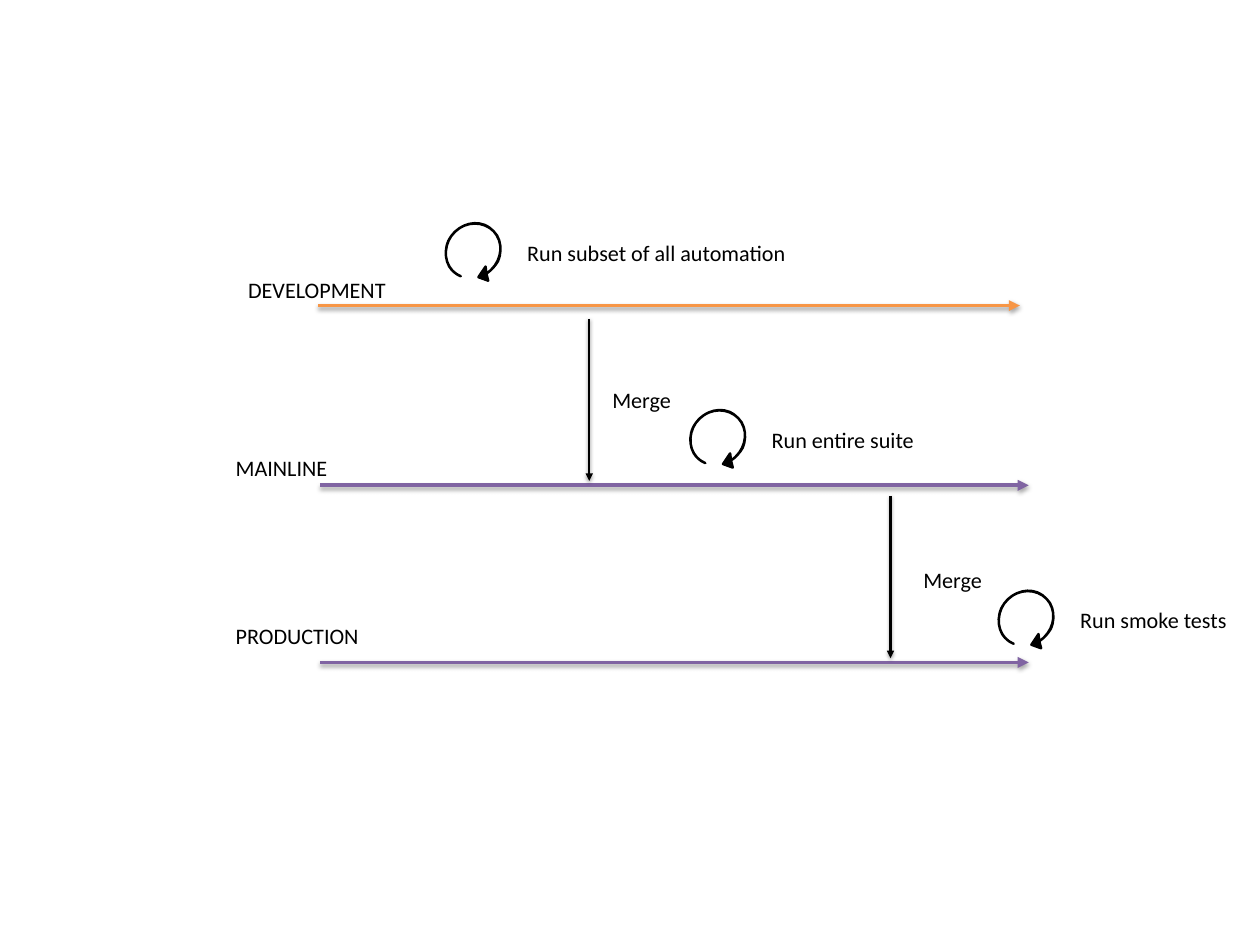
from math import cos, radians, sin

from lxml import etree
from pptx import Presentation
from pptx.dml.color import RGBColor
from pptx.enum.shapes import MSO_CONNECTOR
from pptx.enum.text import MSO_AUTO_SIZE
from pptx.oxml.ns import qn
from pptx.util import Inches, Pt

STRAIGHT = MSO_CONNECTOR.STRAIGHT
FIT_SHAPE = MSO_AUTO_SIZE.SHAPE_TO_FIT_TEXT
BLACK = RGBColor(0x00, 0x00, 0x00)
ORANGE = RGBColor(0xF7, 0x96, 0x46)
PURPLE = RGBColor(0x80, 0x64, 0xA2)
FONT = "Calibri"

LOOP_WIDTH = 0.66
LOOP_HEIGHT = 0.64
LOOP_ROTATION = 44.6
LOOP_START = (0.17, 0.59)
LOOP_SEGMENTS = [
    ((0.02, 0.53), (-0.04, 0.35), (0.03, 0.19)),
    ((0.11, 0.03), (0.29, -0.05), (0.44, 0.01)),
    ((0.60, 0.08), (0.66, 0.26), (0.59, 0.42)),
    ((0.56, 0.47), (0.52, 0.52), (0.46, 0.56)),
    ((0.48, 0.64),),
    ((0.37, 0.60),),
    ((0.45, 0.48),),
    ((0.46, 0.56),),
    ((0.61, 0.46), (0.66, 0.27), (0.58, 0.13)),
    ((0.49, -0.01), (0.30, -0.05), (0.15, 0.05)),
    ((0.01, 0.14), (-0.04, 0.34), (0.04, 0.48)),
    ((0.07, 0.53), (0.12, 0.57), LOOP_START),
]

BRANCHES = [
    (3.59, 11.51, 3.45, ORANGE),
    (3.61, 11.61, 5.48, PURPLE),
    (3.61, 11.61, 7.48, PURPLE),
]
BRANCH_LABELS = [
    ("DEVELOPMENT", 2.75, 3.07, 1.73),
    ("PRODUCTION", 2.61, 6.98, 1.57),
    ("MAINLINE", 2.61, 5.08, 1.16),
]
MERGES = [(10.05, 5.6, 10.37, 6.34), (6.65, 3.6, 6.86, 4.31)]
TEST_RUNS = [
    ("Run subset of all automation", 5.03, 2.53, 3.33),
    ("Run entire suite", 7.79, 4.64, 1.9),
    ("Run smoke tests", 11.27, 6.68, 1.92),
]


def add_shadow(connector, distance, opacity):
    effects = etree.SubElement(connector.element.spPr, qn("a:effectLst"))
    shadow = etree.SubElement(
        effects, qn("a:outerShdw"), blurRad=str(Pt(3)), dist=str(Pt(distance)),
        dir="5400000", rotWithShape="0")
    color = etree.SubElement(shadow, qn("a:srgbClr"), val=str(BLACK))
    etree.SubElement(color, qn("a:alpha"), val=str(opacity * 1000))


def add_arrow(shapes, start, end, color, width, distance, opacity):
    connector = shapes.add_connector(
        STRAIGHT, *(Inches(value) for value in (*start, *end)))
    connector.line.color.rgb = color
    connector.line.width = Pt(width)
    outline = connector.element.spPr.find(qn("a:ln"))
    etree.SubElement(outline, qn("a:tailEnd"), type="triangle")
    add_shadow(connector, distance, opacity)


def add_label(shapes, text, left, top, width):
    box = shapes.add_textbox(Inches(left), Inches(top), Inches(width), Inches(0.39))
    frame = box.text_frame
    frame.word_wrap = False
    frame.auto_size = FIT_SHAPE
    frame.margin_left = frame.margin_right = Inches(0.05)
    frame.margin_top = frame.margin_bottom = Inches(0.05)
    run = frame.paragraphs[0].add_run()
    run.text = text
    run.font.name = FONT
    run.font.size = Pt(18)
    run.font.color.rgb = BLACK


def turn_back(point):
    angle = radians(LOOP_ROTATION)
    x = point[0] - LOOP_WIDTH / 2
    y = point[1] - LOOP_HEIGHT / 2
    return (Inches(LOOP_WIDTH / 2 + x * cos(angle) + y * sin(angle)),
            Inches(LOOP_HEIGHT / 2 - x * sin(angle) + y * cos(angle)))


def add_command(outline, name, points):
    command = etree.SubElement(outline, qn(name))
    for point in points:
        x, y = turn_back(point)
        etree.SubElement(command, qn("a:pt"), x=str(x), y=str(y))


def draw_loop_curves(loop):
    outline = loop.element.spPr.find(".//" + qn("a:path"))
    for command in list(outline):
        outline.remove(command)
    outline.set("w", str(Inches(LOOP_WIDTH)))
    outline.set("h", str(Inches(LOOP_HEIGHT)))
    add_command(outline, "a:moveTo", [LOOP_START])
    for segment in LOOP_SEGMENTS:
        name = "a:lnTo" if len(segment) == 1 else "a:cubicBezTo"
        add_command(outline, name, segment)
    etree.SubElement(outline, qn("a:close"))


def add_loop(shapes, left, top):
    builder = shapes.build_freeform(Inches(left), Inches(top))
    builder.add_line_segments(
        [(Inches(left + LOOP_WIDTH), Inches(top + LOOP_HEIGHT))])
    loop = builder.convert_to_shape()
    draw_loop_curves(loop)
    loop.rotation = LOOP_ROTATION
    loop.shadow.inherit = False
    loop.fill.solid()
    loop.fill.fore_color.rgb = BLACK
    loop.line.color.rgb = BLACK
    loop.line.width = Pt(2)


def add_merge(slide, x, top, label_left, label_top):
    shapes = slide.shapes.add_group_shape().shapes
    add_arrow(shapes, (x, top), (x, top + 1.83), BLACK, 2, 1.6, 38)
    add_label(shapes, "Merge", label_left, label_top, 0.79)


def add_test_run(slide, text, left, top, width):
    shapes = slide.shapes.add_group_shape().shapes
    add_loop(shapes, left, top)
    add_label(shapes, text, left + 0.87, top + 0.12, width)


def main():
    presentation = Presentation()
    presentation.slide_width = Inches(14.22)
    presentation.slide_height = Inches(10.67)
    slide = presentation.slides.add_slide(presentation.slide_layouts[6])
    for start, end, y, color in BRANCHES:
        add_arrow(slide.shapes, (start, y), (end, y), color, 3, 1.8, 35)
    for label in BRANCH_LABELS:
        add_label(slide.shapes, *label)
    for merge in MERGES:
        add_merge(slide, *merge)
    for test_run in TEST_RUNS:
        add_test_run(slide, *test_run)
    presentation.save("out.pptx")


if __name__ == "__main__":
    main()
